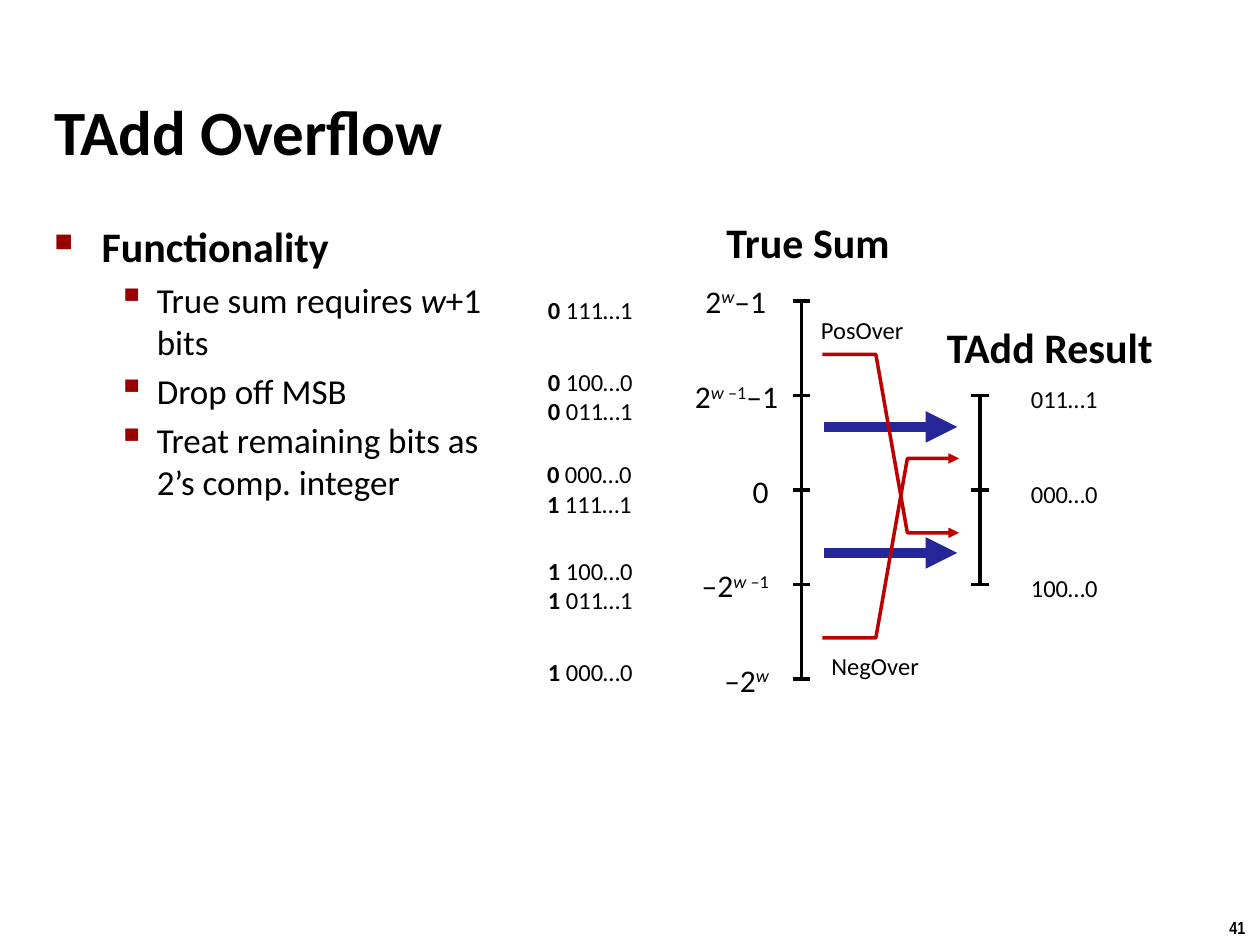
"""Build the slide on two's complement addition overflow."""
from lxml.etree import SubElement
from pptx import Presentation
from pptx.dml.color import RGBColor
from pptx.enum.shapes import MSO_CONNECTOR as Connector
from pptx.enum.text import MSO_ANCHOR as Anchor, PP_ALIGN as Align
from pptx.oxml.ns import qn
from pptx.util import Pt

BLACK = RGBColor(0, 0, 0)
BLUE = RGBColor(0x26, 0x26, 0x99)
RED = RGBColor(0xC0, 0, 0)

STYLES = {"b": {"bold": True}, "i": {"italic": True}}
HEADING = [("Functionality", "b")]
POINTS = [
    [("True sum requires ", ""), ("w", "i"), ("+1 bits", "")],
    [("Drop off MSB", "")],
    [("Treat remaining bits as 2’s comp. integer", "")],
]
SCALE_LABELS = [
    (396, 157.5, 50, Align.LEFT, [("2", ""), ("w", "i^"), ("–1", "")]),
    (390, 212, 74, Align.LEFT, [("2", ""), ("w ", "i^"), ("–1", "^"), ("–1", "")]),
    (423, 266, 24, Align.LEFT, [("0", "")]),
    (390, 320, 56.5, Align.RIGHT, [("–2", ""), ("w ", "i^"), ("–1", "^")]),
    (405, 374, 41.5, Align.RIGHT, [("–2", ""), ("w", "i^")]),
]
BIT_PATTERNS = [
    (306, 165, [("0", "111…1")]),
    (306, 206, [("0", "100…0"), ("0", "011…1")]),
    (305.5, 259, [("0", "000…0"), ("1", "111…1")]),
    (306, 314, [("1", "100…0"), ("1", "011…1")]),
    (306, 372, [("1", "000…0")]),
]
RESULT_PATTERNS = ["011…1", "000…0", "100…0"]
CAPTIONS = [
    ("True Sum", "b", 24, 408, 120, 109, 36),
    ("TAdd Result", "b", 24, 534, 180, 133, 36),
    ("PosOver", "", 14, 462, 176.5, 62, 24),
    ("NegOver", "", 14, 468, 368.5, 65, 24),
]
SCALE_TOP, STEP, TICK = 172, 54, 5
AXES = [(458, 0, 4), (560, 1, 3)]
FLOW_ROWS = [244, 316]
OVERFLOW_X = [470, 500.5, 518.5, 548]
OVERFLOW_ROWS = [(202.5, 304.5), (364.5, 262)]


def add_runs(para, runs, size, font="Calibri"):
    for text, style in runs:
        span = para.add_run()
        span.text = text
        span.font.color.rgb = BLACK
        look = {"name": font, "size": Pt(size), "bold": False, "italic": False}
        for key in style.replace("^", ""):
            look.update(STYLES[key])
        for name, value in look.items():
            setattr(span.font, name, value)
        if "^" in style:
            span.font._element.set("baseline", "30000")


def add_text(page, place, lines, size, align=Align.LEFT, wrap=False, font="Calibri"):
    box = page.shapes.add_textbox(*map(Pt, place))
    frame = box.text_frame
    frame.word_wrap = wrap
    for index, runs in enumerate(lines):
        para = frame.paragraphs[0] if index == 0 else frame.add_paragraph()
        para.alignment = align
        add_runs(para, runs, size, font)
    return frame


def add_bullet(para, mark, percent, margin, indent):
    props = para._p.get_or_add_pPr()
    props.set("marL", str(Pt(margin)))
    props.set("indent", str(Pt(-indent)))
    color = SubElement(props, qn("a:buClr"))
    SubElement(color, qn("a:srgbClr"), val="990000")
    SubElement(props, qn("a:buSzPct"), val=str(percent * 1000))
    SubElement(props, qn("a:buChar"), char=mark)


def set_line(shape, color, width, arrow):
    shape.line.color.rgb = color
    shape.line.width = Pt(width)
    if arrow:
        SubElement(shape.line._get_or_add_ln(), qn("a:tailEnd"), type="triangle")


def add_line(page, start, end, color=BLACK, width=2, arrow=False):
    line = page.shapes.add_connector(Connector.STRAIGHT, *map(Pt, start + end))
    set_line(line, color, width, arrow)
    SubElement(line._element.spPr, qn("a:effectLst"))


def add_overflow(page, row, target):
    corners = list(zip(map(Pt, OVERFLOW_X), map(Pt, (row, row, target, target))))
    builder = page.shapes.build_freeform(*corners[0])
    builder.add_line_segments(corners[1:], close=False)
    shape = builder.convert_to_shape()
    shape.shadow.inherit = False
    shape.fill.background()
    set_line(shape, RED, 2, True)


def add_title(page):
    title = page.shapes.title
    title.left, title.top, title.width, title.height = map(Pt, (24, 52.5, 532, 44))
    title.text_frame.vertical_anchor = Anchor.MIDDLE
    para = title.text_frame.paragraphs[0]
    para.alignment = Align.LEFT
    add_runs(para, [("TAdd Overflow", "b")], 36)


def add_body(page):
    frame = add_text(page, (24, 122.5, 260.5, 411), [HEADING], 24, wrap=True)
    add_bullet(frame.paragraphs[0], "■", 60, 27, 27)
    for runs in POINTS:
        para = frame.add_paragraph()
        para.level = 1
        para.space_before = Pt(4)
        add_bullet(para, "▪", 110, 58.5, 22.5)
        add_runs(para, runs, 20)


def add_diagram(page):
    for x, first, last in AXES:
        rows = [SCALE_TOP + STEP * index for index in range(first, last + 1)]
        add_line(page, (x, rows[0]), (x, rows[-1]))
        for y in rows:
            add_line(page, (x - TICK, y), (x + TICK, y))
    for y in FLOW_ROWS:
        add_line(page, (471, y), (547, y), BLUE, 6, True)
    for row, target in OVERFLOW_ROWS:
        add_overflow(page, row, target)
    for left, top, width, align, runs in SCALE_LABELS:
        add_text(page, (left, top, width, 29), [runs], 18, align, wrap=width == 74)
    for left, top, pairs in BIT_PATTERNS:
        lines = [[(sign, "b"), (" " + bits, "")] for sign, bits in pairs]
        add_text(page, (left, top, 65, 7 + 17 * len(pairs)), lines, 14)
    for index, bits in enumerate(RESULT_PATTERNS):
        add_text(page, (582, 216 + STEP * index, 52.5, 24), [[(bits, "")]], 14)
    for text, style, size, *place in CAPTIONS:
        add_text(page, place, [[(text, style)]], size)


def main():
    deck = Presentation()
    deck.slide_width, deck.slide_height = Pt(720), Pt(540)
    page = deck.slides.add_slide(deck.slide_layouts[5])
    add_title(page)
    add_body(page)
    add_diagram(page)
    add_text(page, (695.5, 520.5, 24.5, 19.5), [[("41", "b")]], 10, font="Arial Narrow")
    deck.save("out.pptx")


if __name__ == "__main__":
    main()
